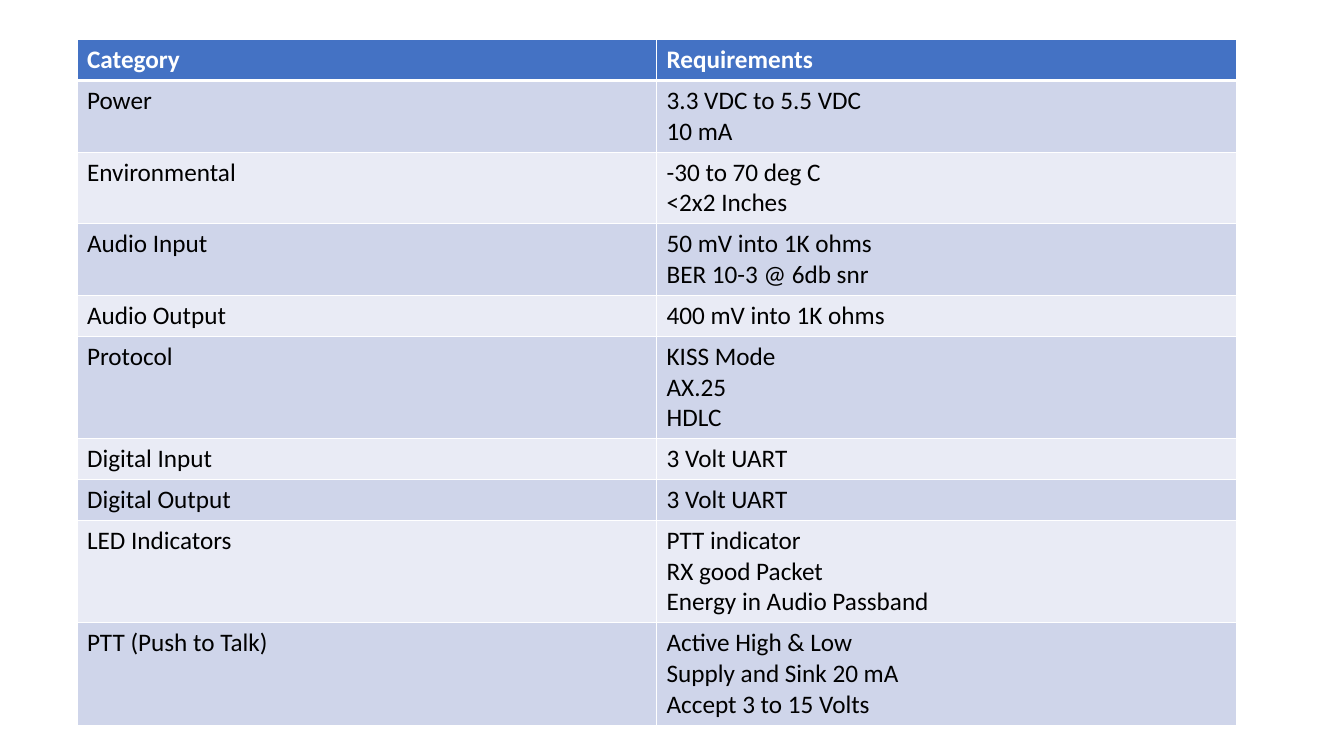
from lxml import etree
from pptx import Presentation
from pptx.dml.color import RGBColor
from pptx.oxml.ns import qn
from pptx.util import Pt

BLANK_LAYOUT = 6
COLORS = {
    "header": "4472C4",
    "band_dark": "CFD5EA",
    "band_light": "E9EBF5",
    "border": "FFFFFF",
    "header_text": "FFFFFF",
    "text": "000000",
}

HEADINGS = ("Category", ["Requirements"])
REQUIREMENTS = [
    ("Power", ["3.3 VDC to 5.5 VDC", "10 mA"]),
    ("Environmental", ["-30 to 70 deg C", "<2x2 Inches"]),
    ("Audio Input", ["50 mV into 1K ohms", "BER 10-3 @ 6db snr"]),
    ("Audio Output", ["400 mV into 1K ohms"]),
    ("Protocol", ["KISS Mode", "AX.25", "HDLC"]),
    ("Digital Input", ["3 Volt UART"]),
    ("Digital Output", ["3 Volt UART"]),
    ("LED Indicators",
     ["PTT indicator", "RX good Packet", "Energy in Audio Passband"]),
    ("PTT (Push to Talk)",
     ["Active High & Low", "Supply and Sink 20 mA", "Accept 3 to 15 Volts"]),
]


class SlideBuilder:
    """Holds the table style and the current slide."""

    font = "Calibri"
    size = 18
    line_height = 21.95
    cell_padding = 7.2
    thin, thick = 1, 3

    def __init__(self, slide):
        self.slide = slide

    def table(self, left, top, width, entries):
        heights = [self.cell_padding + self.line_height * len(lines)
                   for _, lines in entries]
        grid = self.slide.shapes.add_table(
            len(entries), 2, Pt(left), Pt(top), Pt(width), Pt(sum(heights))).table
        for index, (category, lines) in enumerate(entries):
            grid.rows[index].height = Pt(heights[index])
            for column, content in enumerate(([category], lines)):
                self.cell(grid.cell(index, column), content, index)

    def cell(self, cell, lines, row):
        is_header = row == 0
        band = "band_dark" if row % 2 else "band_light"
        ink = "header_text" if is_header else "text"
        # The header is separated from the body by a thicker rule
        self.borders(cell, top=self.thick if row == 1 else self.thin,
                     bottom=self.thick if is_header else self.thin)
        cell.fill.solid()
        cell.fill.fore_color.rgb = RGBColor.from_string(
            COLORS["header" if is_header else band])
        frame = cell.text_frame
        for number, line in enumerate(lines):
            paragraph = frame.add_paragraph() if number else frame.paragraphs[0]
            run = paragraph.add_run()
            run.text = line
            run.font.name = self.font
            run.font.size = Pt(self.size)
            run.font.bold = is_header
            run.font.color.rgb = RGBColor.from_string(COLORS[ink])

    def borders(self, cell, top, bottom):
        properties = cell._tc.get_or_add_tcPr()
        sides = {"a:lnL": self.thin, "a:lnR": self.thin,
                 "a:lnT": top, "a:lnB": bottom}
        for side, weight in sides.items():
            border = etree.SubElement(properties, qn(side), w=str(Pt(weight)))
            fill = etree.SubElement(border, qn("a:solidFill"))
            etree.SubElement(fill, qn("a:srgbClr"), val=COLORS["border"])


# Slide
presentation = Presentation()
presentation.slide_width = Pt(960)
presentation.slide_height = Pt(540)
layout = presentation.slide_layouts[BLANK_LAYOUT]
builder = SlideBuilder(presentation.slides.add_slide(layout))

# Requirements table
builder.table(55, 28.3, 828, [HEADINGS] + REQUIREMENTS)

presentation.save("out.pptx")
